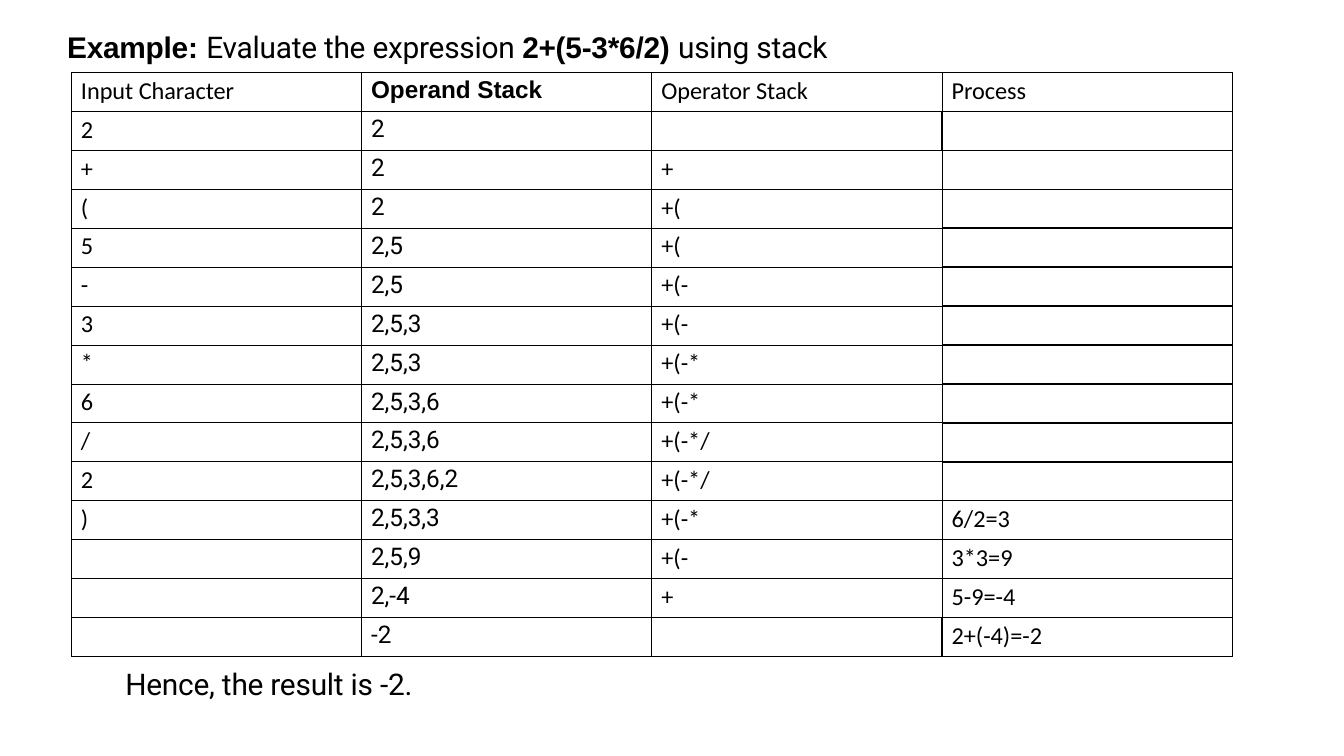
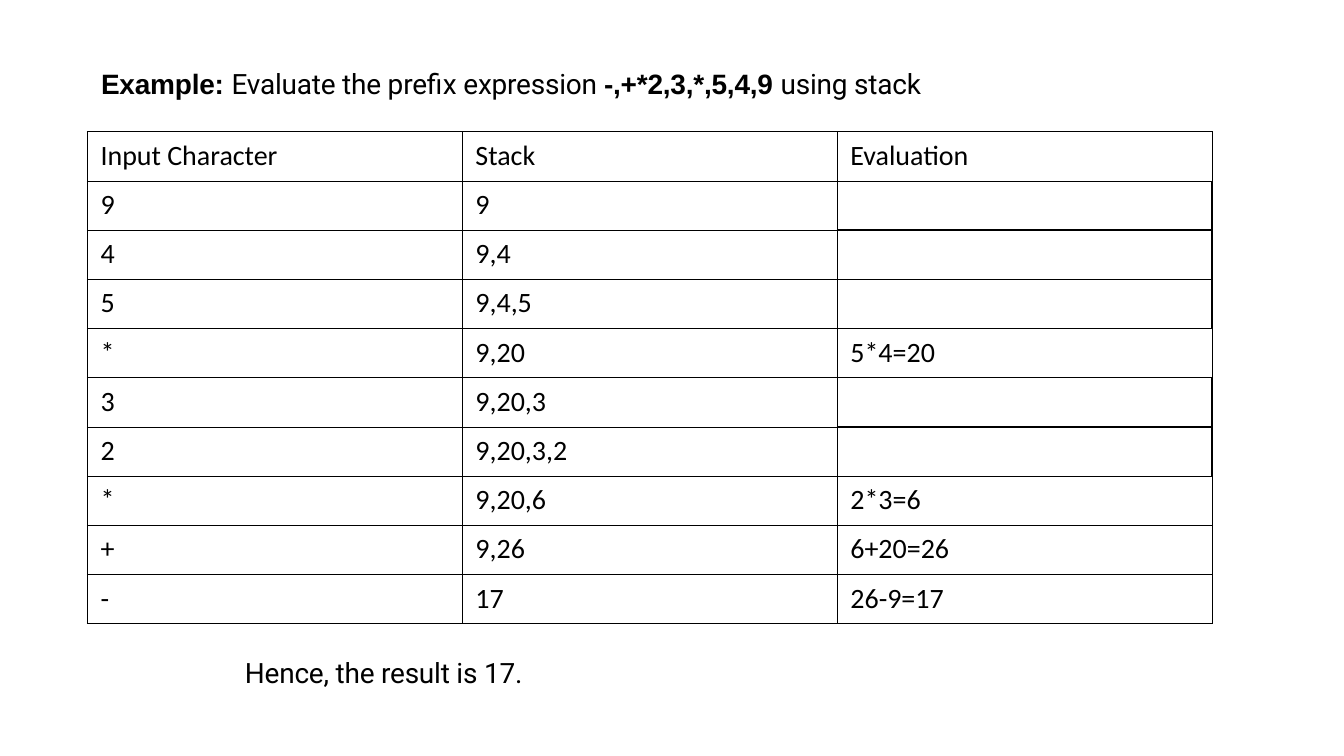
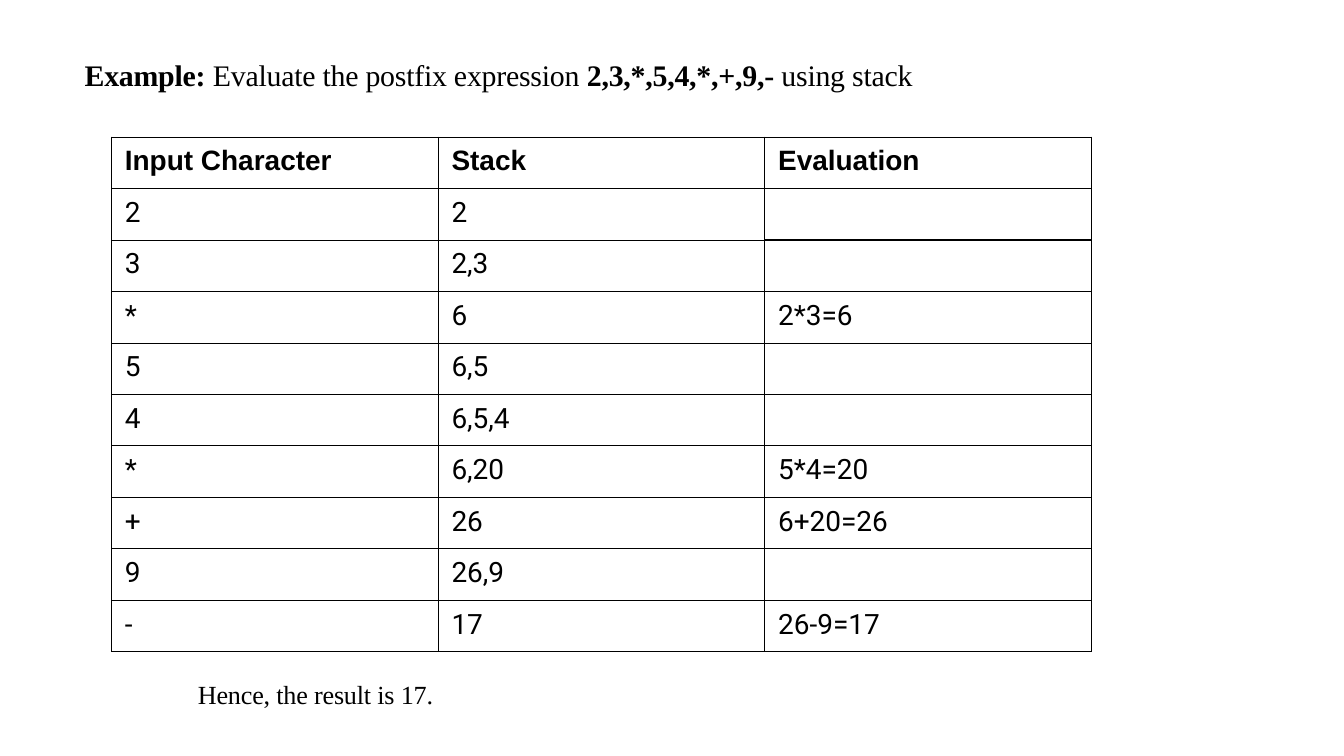
from lxml.etree import SubElement
from pptx import Presentation
from pptx.dml.color import RGBColor
from pptx.enum.text import MSO_ANCHOR, MSO_AUTO_SIZE, PP_ALIGN
from pptx.oxml.ns import qn
from pptx.util import Cm, Pt

BLACK = RGBColor(0x00, 0x00, 0x00)
THIN, HEAVY = Pt(0.5), Pt(1)
TIGHT_SPACING = "-10"  # hundredths of a point

# Each example: heading, table of steps, result line; places are in cm.
# heavy_below and heavy_right list (row, column) cells with a 1 pt edge.
EXAMPLES = [
    dict(
        heading=["Example: ", "Evaluate the expression ", "2+(5-3*6/2) ", "using stack"],
        heading_place=(1.24, 0.51, 14.73, 0.74), heading_size=16,
        heading_fonts=("Arial", "Roboto"),
        steps_place=(1.35, 1.37, 21.94, 11.05), steps_size=13,
        inset=(0.18, 0.07), space_before=2,
        header_fonts=["Calibri", "Arial", "Calibri", "Calibri"], bold_headers=[1],
        body_fonts=["Calibri", "Roboto", "Calibri", "Calibri"],
        heavy_below=[(row, 3) for row in (*range(1, 10), 12, 13, 14)] + [(14, 2)],
        heavy_right=[(row, 3) for row in (*range(1, 11), 12, 13, 14)] + [(1, 2), (14, 2)],
        steps=[
            ("Input Character", "Operand Stack", "Operator Stack", "Process"),
            ("2", "2", "", ""),
            ("+", "2", "+", ""),
            ("(", "2", "+(", ""),
            ("5", "2,5", "+(", ""),
            ("-", "2,5", "+(-", ""),
            ("3", "2,5,3", "+(-", ""),
            ("*", "2,5,3", "+(-*", ""),
            ("6", "2,5,3,6", "+(-*", ""),
            ("/", "2,5,3,6", "+(-*/", ""),
            ("2", "2,5,3,6,2", "+(-*/", ""),
            (")", "2,5,3,3", "+(-*", "6/2=3"),
            ("", "2,5,9", "+(-", "3*3=9"),
            ("", "2,-4", "+", "5-9=-4"),
            ("", "-2", "", "2+(-4)=-2"),
        ],
        result="Hence, the result is -2.", result_place=(2.34, 12.55, 5.72, 0.74),
        result_size=16, result_font="Roboto",
    ),
    dict(
        heading=["Example: ", "Evaluate the prefix expression ", "-,+*2,3,*,5,4,9 ", "using stack"],
        heading_place=(1.88, 1.22, 15.88, 0.71), heading_size=15,
        heading_fonts=("Arial", "Roboto"),
        steps_place=(1.65, 2.49, 21.26, 9.3), steps_size=15,
        inset=(0.25, 0.13), space_before=3.2,
        header_fonts=["Calibri"] * 3, bold_headers=[],
        body_fonts=["Calibri"] * 3,
        heavy_below=[(row, 2) for row in (1, 2, 5)],
        heavy_right=[(row, 2) for row in (1, 2, 3, 5, 6)],
        steps=[
            ("Input Character", "Stack", "Evaluation"),
            ("9", "9", ""),
            ("4", "9,4", ""),
            ("5", "9,4,5", ""),
            ("*", "9,20", "5*4=20"),
            ("3", "9,20,3", ""),
            ("2", "9,20,3,2", ""),
            ("*", "9,20,6", "2*3=6"),
            ("+", "9,26", "6+20=26"),
            ("-", "17", "26-9=17"),
        ],
        result="Hence, the result is 17.", result_place=(4.6, 12.37, 5.49, 0.71),
        result_size=15, result_font="Roboto",
    ),
    dict(
        heading=["Example: ", "Evaluate the postfix expression ", "2,3,*,5,4,*,+,9,- ", "using stack"],
        heading_place=(1.57, 1.04, 16.05, 0.74), heading_size=16,
        heading_fonts=("Times New Roman", "Times New Roman"),
        steps_place=(2.11, 2.59, 18.52, 9.73), steps_size=15,
        inset=(0.25, 0.15), space_before=4.5,
        header_fonts=["Arial"] * 3, bold_headers=[0, 1, 2],
        body_fonts=["Roboto"] * 3,
        heavy_below=[(row, 2) for row in (1, 4)],
        heavy_right=[(row, 2) for row in (1, 2, 4, 5)],
        steps=[
            ("Input Character", "Stack", "Evaluation"),
            ("2", "2", ""),
            ("3", "2,3", ""),
            ("*", "6", "2*3=6"),
            ("5", "6,5", ""),
            ("4", "6,5,4", ""),
            ("*", "6,20", "5*4=20"),
            ("+", "26", "6+20=26"),
            ("9", "26,9", ""),
            ("-", "17", "26-9=17"),
        ],
        result="Hence, the result is 17.", result_place=(3.71, 12.8, 4.6, 0.66),
        result_size=14, result_font="Times New Roman",
    ),
]


def write_line(shape, place, size, pieces):
    """Place a one-line text; pieces are (text, font name, bold)."""
    shape.left, shape.top, shape.width, shape.height = map(Cm, place)
    frame = shape.text_frame
    frame.margin_left = frame.margin_top = Cm(0.03)
    frame.margin_right = frame.margin_bottom = 0
    frame.vertical_anchor = MSO_ANCHOR.TOP
    frame.word_wrap = True
    frame.auto_size = MSO_AUTO_SIZE.SHAPE_TO_FIT_TEXT
    line = frame.paragraphs[0]
    line.alignment = PP_ALIGN.LEFT
    line.space_before = Pt(1)
    line.font.size = Pt(size)
    line.font.color.rgb = BLACK
    for text, font_name, bold in pieces:
        run = line.add_run()
        run.text = text
        run.font.name = font_name
        run.font.bold = bold
        run._r.get_or_add_rPr().set("spc", TIGHT_SPACING)


def draw_edge(cell, side, width):
    edge = SubElement(cell._tc.get_or_add_tcPr(), qn(f"a:ln{side}"), w=str(width))
    SubElement(SubElement(edge, qn("a:solidFill")), qn("a:srgbClr"), val=str(BLACK))


prs = Presentation()
prs.slide_width, prs.slide_height = Cm(25.4), Cm(14.29)
title_only = prs.slide_layouts[5]

for example in EXAMPLES:
    slide = prs.slides.add_slide(title_only)

    # Heading, with bold on every other piece
    bold_font, plain_font = example["heading_fonts"]
    write_line(slide.shapes.title, example["heading_place"], example["heading_size"],
               [(text, plain_font if i % 2 else bold_font, i % 2 == 0)
                for i, text in enumerate(example["heading"])])

    # Table of steps
    steps = example["steps"]
    left, top, width, height = map(Cm, example["steps_place"])
    table = slide.shapes.add_table(len(steps), len(steps[0]), left, top, width, height).table
    table.first_row = table.horz_banding = False
    below, right = example["heavy_below"], example["heavy_right"]
    for r, step in enumerate(steps):
        for c, text in enumerate(step):
            cell = table.cell(r, c)
            for side, heavy in (("L", (r, c - 1) in right), ("R", (r, c) in right),
                                ("T", (r - 1, c) in below), ("B", (r, c) in below)):
                draw_edge(cell, side, HEAVY if heavy else THIN)
            cell.fill.background()
            cell.margin_left, cell.margin_top = map(Cm, example["inset"])
            cell.margin_right = cell.margin_bottom = 0
            entry = cell.text_frame.paragraphs[0]
            entry.space_before = Pt(example["space_before"])
            entry.font.size = Pt(example["steps_size"])
            entry.font.name = example["body_fonts" if r else "header_fonts"][c]
            entry.font.bold = r == 0 and c in example["bold_headers"]
            entry.font.color.rgb = BLACK
            if text:
                entry.add_run().text = text
            else:  # keeps an empty cell from stretching its row
                SubElement(entry._p, qn("a:endParaRPr"), sz=str(example["steps_size"] * 100))

    # Result
    result = slide.shapes.add_textbox(0, 0, 0, 0)
    write_line(result, example["result_place"], example["result_size"],
               [(example["result"], example["result_font"], False)])

prs.save("out.pptx")
